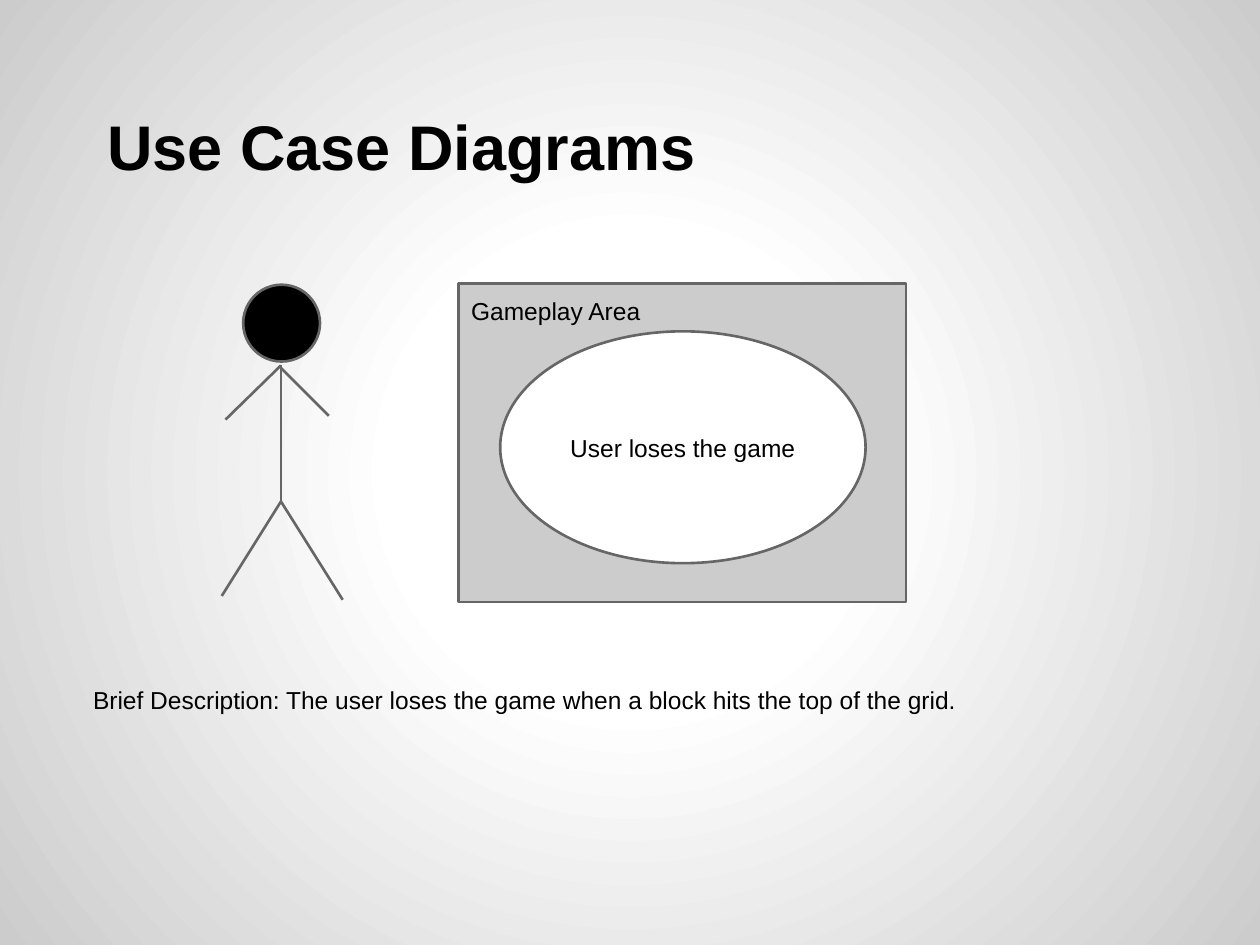
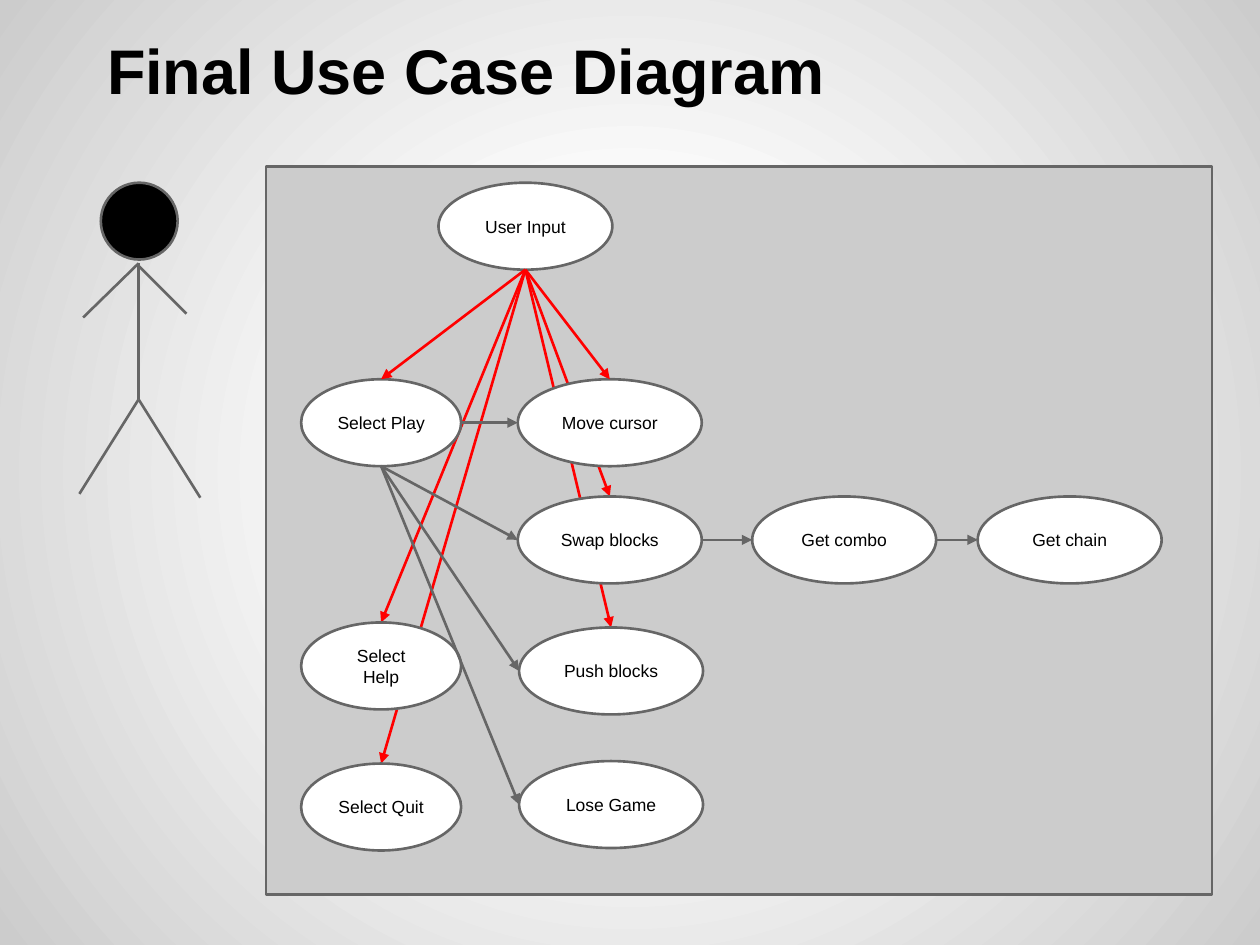
from dataclasses import dataclass

from lxml import etree
from pptx import Presentation
from pptx.dml.color import RGBColor as RGB
from pptx.enum.shapes import MSO_CONNECTOR as Connector, MSO_SHAPE as Shape
from pptx.enum.text import MSO_ANCHOR as Anchor, MSO_AUTO_SIZE as AutoSize, PP_ALIGN as Align
from pptx.oxml import parse_xml
from pptx.oxml.ns import nsdecls, qn
from pptx.util import Inches, Pt


@dataclass(frozen=True)
class Theme:
    font: str = "Arial"
    ink: str = "000000"
    paper: str = "FFFFFF"
    panel: str = "CCCCCC"
    outline: str = "666666"
    accent: str = "FF0000"
    title_size: int = 36
    body_size: int = 14
    label_size: int = 10
    line_width: float = 1.5
    margin: float = 0.1


# Stick figure limbs, relative to the top left corner of the head
HEAD_SIZE = 0.61
NECK, HIP = (0.3, 0.64), (0.3, 1.72)
LIMBS = [
    (NECK, HIP),
    ((-0.14, 1.07), NECK),
    ((0.68, 1.04), (0.3, 0.66)),
    ((-0.17, 2.47), HIP),
    ((0.79, 2.5), HIP),
]

# Use cases: label -> (left, top, width)
OVAL_HEIGHT = 0.69
MENU_LEFT, MENU_WIDTH = 2.39, 1.27
ACTION_LEFT, ACTION_WIDTH = 4.11, 1.46
PLAY_ROW, SWAP_ROW = 3.01, 3.94
USE_CASES = {
    "Select Play": (MENU_LEFT, PLAY_ROW, MENU_WIDTH),
    "Select Help": (MENU_LEFT, 4.94, MENU_WIDTH),
    "Select Quit": (MENU_LEFT, 6.06, MENU_WIDTH),
    "Move cursor": (ACTION_LEFT, PLAY_ROW, ACTION_WIDTH),
    "Swap blocks": (ACTION_LEFT, SWAP_ROW, ACTION_WIDTH),
    "Get combo": (5.97, SWAP_ROW, ACTION_WIDTH),
    "Push blocks": (4.12, 4.98, ACTION_WIDTH),
    "Lose Game": (4.12, 6.04, ACTION_WIDTH),
    "User Input": (3.48, 1.45, 1.38),
    "Get chain": (7.76, SWAP_ROW, ACTION_WIDTH),
}
INPUTS_BEHIND = ["Push blocks", "Swap blocks", "Select Quit", "Select Help"]
INPUTS_IN_FRONT = ["Select Play", "Move cursor"]
PLAY_ACTIONS = ["Swap blocks", "Lose Game", "Push blocks"]
SEQUENCES = [
    ("Select Play", "Move cursor"),
    ("Swap blocks", "Get combo"),
    ("Get combo", "Get chain"),
]


def anchor_point(name, side):
    """Return the middle of one side of a use case oval."""
    left, top, width = USE_CASES[name]
    across, down = {"top": (0.5, 0), "bottom": (0.5, 1),
                    "left": (0, 0.5), "right": (1, 0.5)}[side]
    return left + across * width, top + down * OVAL_HEIGHT


class DiagramDeck:
    def __init__(self, theme):
        self.theme = theme
        self.deck = Presentation()
        self.deck.slide_width, self.deck.slide_height = Inches(10), Inches(7.5)
        self.page = None
        self.paint_background()

    def paint_background(self):
        """Give the master a round gradient, light in the middle."""
        master = self.deck.slide_master
        master.background.fill.gradient()
        old = master.element.find(".//" + qn("a:gradFill"))
        stops = [(0, self.theme.paper), (30, self.theme.paper), (100, self.theme.panel)]
        stop_xml = "".join(
            f'<a:gs pos="{position * 1000}"><a:srgbClr val="{color}"/></a:gs>'
            for position, color in stops)
        old.getparent().replace(old, parse_xml(
            f'<a:gradFill {nsdecls("a")}><a:gsLst>{stop_xml}</a:gsLst>'
            '<a:path path="circle"><a:fillToRect l="50000" t="50000" r="50000" b="50000"/>'
            '</a:path></a:gradFill>'))

    def add_page(self, title, title_top, title_height):
        self.page = self.deck.slides.add_slide(self.deck.slide_layouts[5])
        box = self.page.shapes.title
        box.left, box.top = Inches(0.5), Inches(title_top)
        box.width, box.height = Inches(9), Inches(title_height)
        self.set_text(box, title, self.theme.title_size, Anchor.BOTTOM, bold=True)
        para = box.text_frame.paragraphs[0]
        para._p.get_or_add_pPr().set("indent", str(Inches(0.25)))

    def set_text(self, box, text, size, anchor=Anchor.TOP, align=Align.LEFT, bold=False):
        frame = box.text_frame
        frame.text = text
        frame.word_wrap = True
        frame.auto_size = AutoSize.NONE
        frame.vertical_anchor = anchor
        frame.margin_left = frame.margin_right = Inches(self.theme.margin)
        frame.margin_top = frame.margin_bottom = Inches(self.theme.margin)
        para = frame.paragraphs[0]
        para.alignment = align
        para.font.name, para.font.size, para.font.bold = self.theme.font, Pt(size), bold
        para.font.color.rgb = RGB.from_string(self.theme.ink)

    def shape(self, kind, left, top, width, height, fill, parent=None):
        item = (parent or self.page).shapes.add_shape(
            kind, Inches(left), Inches(top), Inches(width), Inches(height))
        item.shadow.inherit = False
        item.fill.solid()
        item.fill.fore_color.rgb = RGB.from_string(fill)
        item.line.color.rgb = RGB.from_string(self.theme.outline)
        item.line.width = Pt(self.theme.line_width)
        return item

    def panel(self, left, top, width, height, label=None):
        item = self.shape(Shape.RECTANGLE, left, top, width, height, self.theme.panel)
        if label:
            self.set_text(item, label, self.theme.body_size)

    def oval(self, label, left, top, width, height, size):
        item = self.shape(Shape.OVAL, left, top, width, height, self.theme.paper)
        self.set_text(item, label, size, Anchor.MIDDLE, Align.CENTER)

    def text(self, text, left, top, width, height):
        box = self.page.shapes.add_textbox(
            Inches(left), Inches(top), Inches(width), Inches(height))
        self.set_text(box, text, self.theme.body_size)

    def line(self, start, end, color=None, arrow=False, parent=None):
        item = (parent or self.page).shapes.add_connector(
            Connector.STRAIGHT, *(Inches(value) for value in (*start, *end)))
        item.line.color.rgb = RGB.from_string(color or self.theme.outline)
        item.line.width = Pt(self.theme.line_width)
        properties = item._element.spPr
        if arrow:
            etree.SubElement(properties.find(qn("a:ln")), qn("a:tailEnd"), type="triangle")
        etree.SubElement(properties, qn("a:effectLst"))

    def stick_figure(self, left, top):
        group = self.page.shapes.add_group_shape()
        for start, end in LIMBS:
            self.line((left + start[0], top + start[1]),
                      (left + end[0], top + end[1]), parent=group)
        self.shape(Shape.FLOWCHART_CONNECTOR, left, top, HEAD_SIZE, HEAD_SIZE,
                   self.theme.ink, group)

    def link(self, source, source_side, target, target_side, color=None):
        self.line(anchor_point(source, source_side), anchor_point(target, target_side),
                  color, arrow=True)

    def input_links(self, targets):
        for target in targets:
            self.link("User Input", "bottom", target, "top", self.theme.accent)


def build_losing_case(deck):
    deck.add_page("Use Case Diagrams", 0.3, 1.25)
    deck.stick_figure(1.93, 2.26)
    deck.panel(3.64, 2.25, 3.55, 2.53, "Gameplay Area")
    deck.oval("User loses the game", 3.97, 2.63, 2.9, 1.84, deck.theme.body_size)
    deck.text("Brief Description: The user loses the game when a block hits "
              "the top of the grid.", 0.64, 5.34, 8.6, 1.41)


def build_final_diagram(deck):
    deck.add_page("Final Use Case Diagram", 0.1, 0.85)
    deck.panel(2.11, 1.32, 7.51, 5.78)
    deck.input_links(INPUTS_BEHIND)
    deck.stick_figure(0.8, 1.45)
    for label, (left, top, width) in USE_CASES.items():
        deck.oval(label, left, top, width, OVAL_HEIGHT, deck.theme.label_size)
    for source, target in SEQUENCES:
        deck.link(source, "right", target, "left")
    for action in PLAY_ACTIONS:
        deck.link("Select Play", "bottom", action, "left")
    deck.input_links(INPUTS_IN_FRONT)


def main():
    deck = DiagramDeck(Theme())
    build_losing_case(deck)
    build_final_diagram(deck)
    deck.deck.save("out.pptx")


if __name__ == "__main__":
    main()
